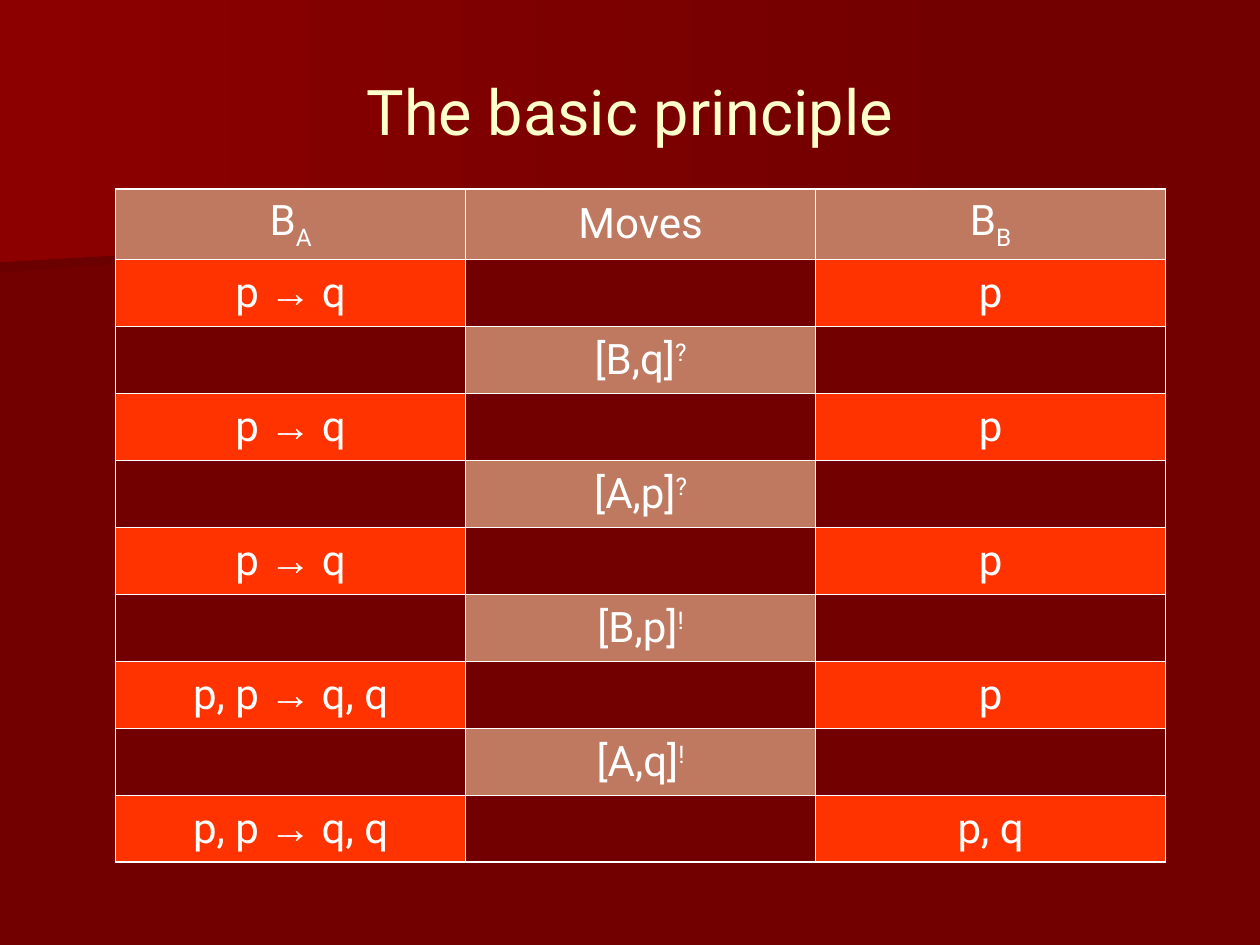
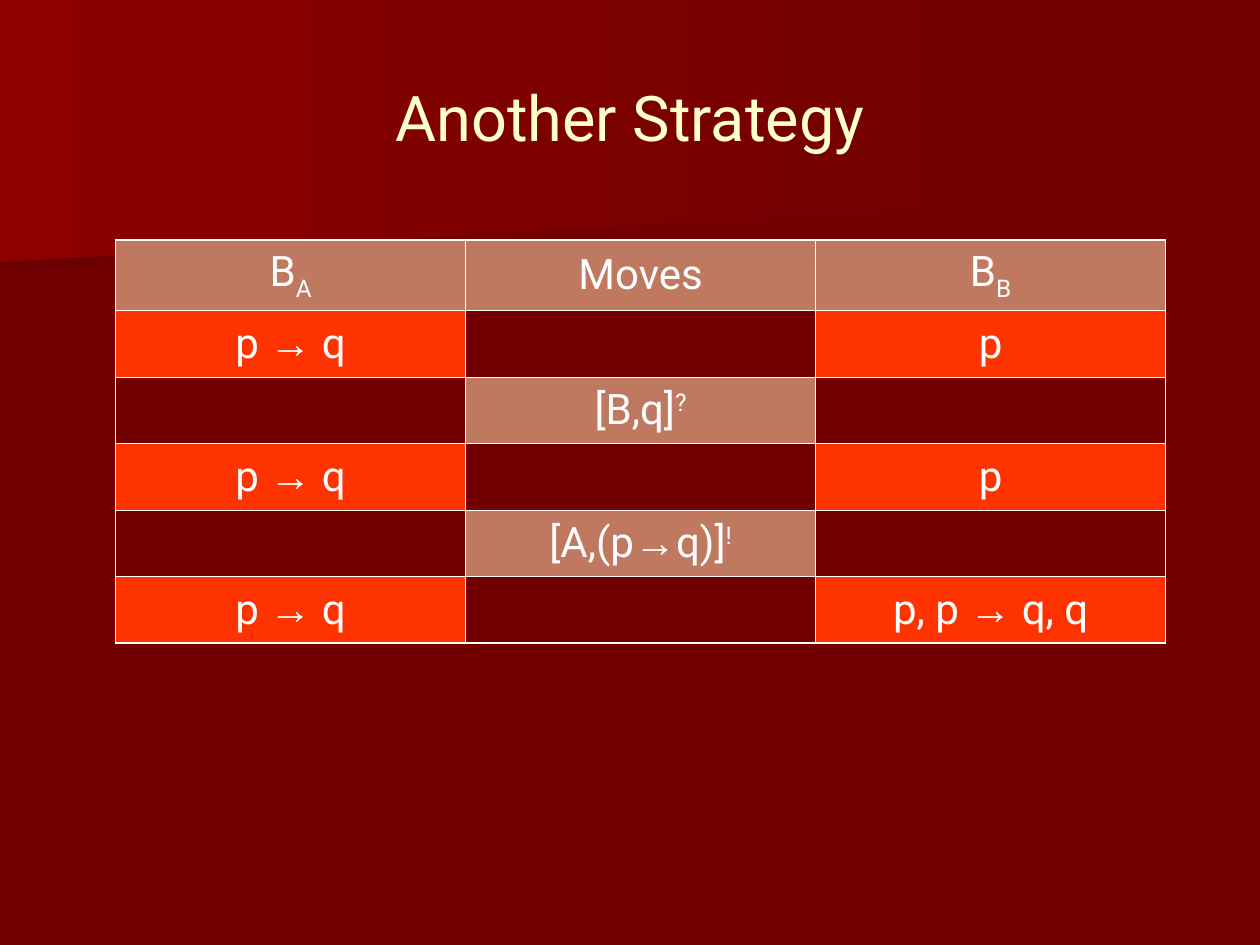
"""Two slides that trace the moves of a dialogue and the belief sets of both players."""
from itertools import groupby

from lxml import etree
from pptx import Presentation
from pptx import util as u
from pptx.dml.color import RGBColor
from pptx.enum import text
from pptx.oxml.ns import qn

HUES = {"back": "720000", "glow": "8C0000", "shade": "6A0000", "title": "FFFFCC",
        "ink": "FFFFFF", "move": "BE7960", "state": "FF3300"}
FONT, SIGN = "Roboto", "Arial"
HEAD = ("B_A", "Moves", "B_B")
WIDE, TALL = 21.17, 1.42
THICK, THIN = u.Pt(1.08), u.Pt(0.45)
SHIFT = {"_": "-25000", "^": "30000"}
GLOW = [(2012, 411), (0, 528), (0, 0), (2012, 0)]
SHADE = [(1976, 389), (0, 550), (0, 257), (1979, 257), (1976, 325)]


def hue(name):
    """Return the named colour."""
    return RGBColor.from_string(HUES[name])


def style(run, size, tint, face=FONT):
    """Set the size, colour and face of a run."""
    run.font.size = u.Pt(size)
    run.font.name = face
    run.font.color.rgb = hue(tint)


def add_band(slide, spots, tint):
    """Draw a shaded band, with spots in hundredths of a cm, at the back."""
    pen = slide.shapes.build_freeform(*spots[0], scale=u.Cm(0.01))
    pen.add_line_segments(spots[1:], close=True)
    band = pen.convert_to_shape()
    band.shadow.inherit = False
    band.line.fill.background()
    band.fill.gradient()
    band.fill.gradient_angle = 180
    for stop, name in zip(band.fill.gradient_stops, ("back", tint)):
        stop.color.rgb = hue(name)
    slide.shapes._spTree.insert(2, band._element)


def add_page(deck, words, top):
    """Add a slide with the shared bands and a title."""
    slide = deck.slides.add_slide(deck.slide_layouts[5])
    add_band(slide, GLOW, "glow")
    add_band(slide, SHADE, "shade")
    title = slide.shapes.title
    title.left, title.top = u.Cm(1.27), u.Cm(top)
    title.width, title.height = u.Cm(22.86), u.Cm(3.18)
    frame = title.text_frame
    frame.text = words
    frame.vertical_anchor = text.MSO_ANCHOR.MIDDLE
    line = frame.paragraphs[0]
    line.alignment = text.PP_ALIGN.CENTER
    style(line.runs[0], 36, "title")
    return slide


def set_edges(cell, sides):
    """Draw the cell borders, given as widths by side."""
    props = cell._tc.get_or_add_tcPr()
    for spot, (side, width) in enumerate(sides.items()):
        edge = etree.Element(qn(f"a:ln{side}"), w=str(int(width)))
        fill = etree.SubElement(edge, qn("a:solidFill"))
        etree.SubElement(fill, qn("a:srgbClr"), val=HUES["ink"])
        props.insert(spot, edge)


def write(cell, words):
    """Write centred words; a final _x or ^x is a sub- or superscript."""
    mark = words[-2:-1]
    body, tail = (words[:-2], words[-1]) if mark in SHIFT else (words, "")
    cell.vertical_anchor = text.MSO_ANCHOR.MIDDLE
    line = cell.text_frame.paragraphs[0]
    line.alignment = text.PP_ALIGN.CENTER
    line.space_before = u.Pt(6)
    for sign, part in groupby(body, lambda char: char == "→"):
        run = line.add_run()
        run.text = "".join(part)
        style(run, 24, "ink", SIGN if sign else FONT)
    if tail:
        run = line.add_run()
        run.text = tail
        style(run, 24, "ink")
        run._r.get_or_add_rPr().set("baseline", SHIFT[mark])


def weave(states, moves):
    """Return the table rows: the header, then states and moves in turn."""
    rows = [HEAD]
    for num, (left, right) in enumerate(states):
        rows.append((left, "", right))
        rows += [("", move, "") for move in moves[num:num + 1]]
    return rows


def add_grid(slide, rows, top, high):
    """Add the table of states and moves."""
    last = len(rows) - 1
    frame = slide.shapes.add_table(len(rows), 3, u.Cm(2.33), u.Cm(top),
                                   u.Cm(WIDE), u.Cm(TALL + last * high))
    grid = frame.table
    grid.first_row = grid.horz_banding = False
    for col in grid.columns:
        col.width = u.Cm(WIDE / 3)
    for y, row in enumerate(rows):
        grid.rows[y].height = u.Cm(high if y else TALL)
        for x, words in enumerate(row):
            cell = grid.cell(y, x)
            if words:
                write(cell, words)
                cell.fill.solid()
                cell.fill.fore_color.rgb = hue("move" if y == 0 or x == 1 else "state")
            else:
                cell.fill.background()
            outer = {"L": x == 0, "R": x == 2, "T": y == 0, "B": y == last}
            set_edges(cell, {side: THICK if out else THIN for side, out in outer.items()})


def main():
    """Build and save the slides."""
    deck = Presentation()
    deck.slide_width, deck.slide_height = u.Cm(25.4), u.Cm(19.05)
    back = deck.slide_master.background.fill
    back.solid()
    back.fore_color.rgb = hue("back")

    start, full = ("p → q", "p"), "p, p → q, q"
    first = add_page(deck, "The basic principle", 0.64)
    add_grid(first, weave([start] * 3 + [(full, "p"), (full, "p, q")],
                          ["[B,q]^?", "[A,p]^?", "[B,p]^!", "[A,q]^!"]), 3.81, 1.35)
    second = add_page(deck, "Another Strategy", 0.76)
    add_grid(second, weave([start] * 2 + [("p → q", full)],
                           ["[B,q]^?", "[A,(p→q)]^!"]), 4.84, 1.34)
    deck.save("out.pptx")


if __name__ == "__main__":
    main()
